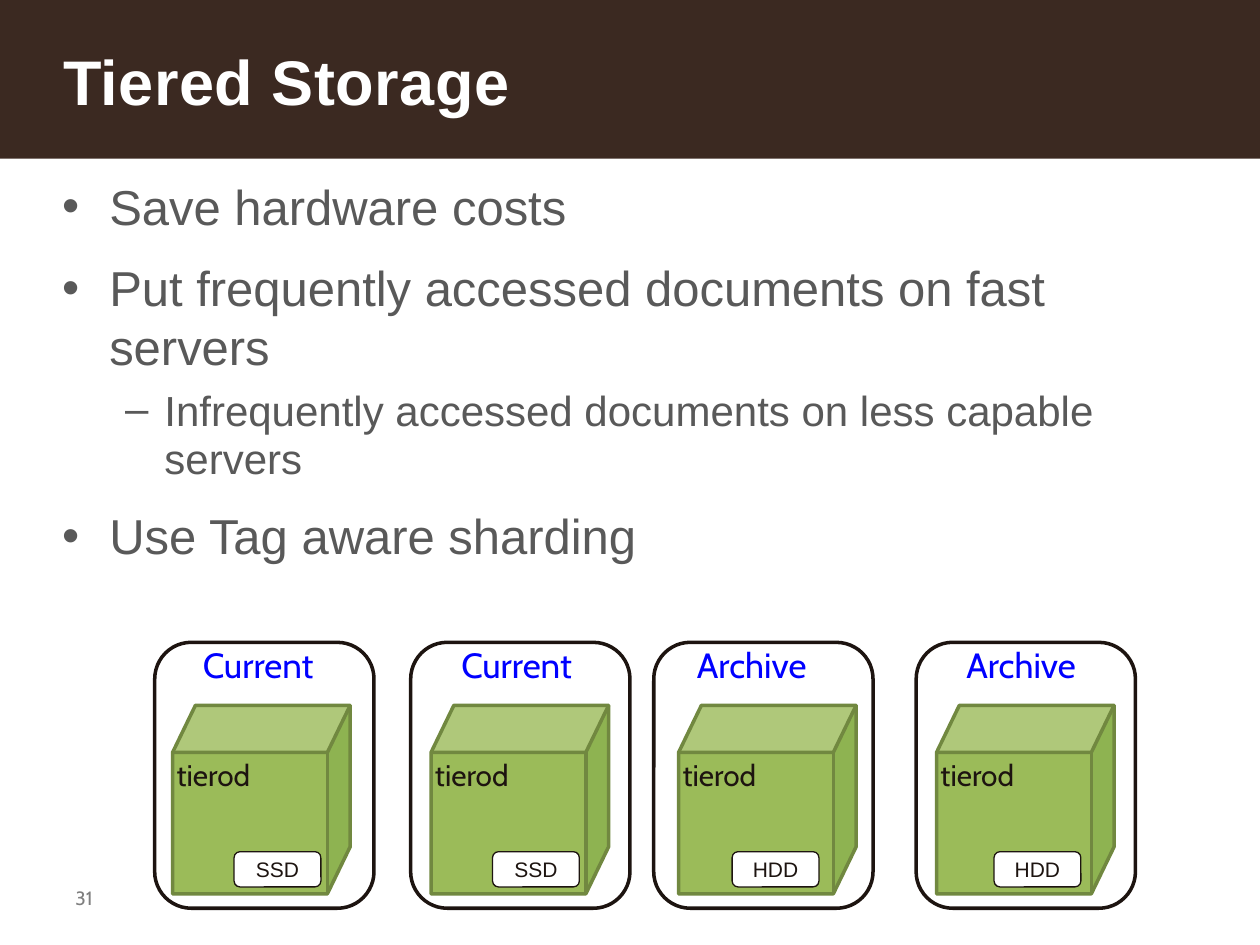
"""Builds the Tiered Storage slide with its four storage servers."""
from lxml import etree
from pptx import Presentation
from pptx.dml.color import RGBColor
from pptx.enum.shapes import MSO_SHAPE
from pptx.enum.text import MSO_ANCHOR, MSO_AUTO_SIZE, PP_ALIGN
from pptx.oxml.ns import qn
from pptx.util import Cm, Pt

RECTANGLE, ROUNDED = MSO_SHAPE.RECTANGLE, MSO_SHAPE.ROUNDED_RECTANGLE
TOP, MIDDLE = MSO_ANCHOR.TOP, MSO_ANCHOR.MIDDLE
LEFT, CENTER = PP_ALIGN.LEFT, PP_ALIGN.CENTER
NO_FIT = MSO_AUTO_SIZE.NONE

COLORS = {
    "header": "3B2921", "white": "FFFFFF", "body": "595959", "number": "7F7F7F",
    "ink": "1D1410", "tag": "0000FF", "cube": "9BBB59", "shade": "5A9633",
    "edge": "718840",
}
BULLETS = [
    (0, "Save hardware costs"),
    (0, "Put frequently accessed documents on fast servers"),
    (1, "Infrequently accessed documents on less capable servers"),
    (0, "Use Tag aware sharding"),
]
LEVELS = [(28, 12.8, 1.0), (24, 6, Pt(27.8))]
SERVERS = [
    ("Current", "SSD", 3.12, 3.48, 4.09, 4.72),
    ("Current", "SSD", 8.28, 8.69, 9.3, 9.93),
    ("Archive", "HDD", 13.18, 13.68, 14.05, 14.76),
    ("Archive", "HDD", 18.47, 18.88, 19.48, 20.04),
]


class SlideBuilder:
    def __init__(self, page):
        self.page = page
        self.shapes = page.shapes

    def color(self, name):
        return RGBColor.from_string(COLORS[name])

    def place(self, box, left, top, width, height):
        box.left, box.top, box.width, box.height = map(Cm, (left, top, width, height))

    def inset(self, frame, side, end):
        frame.margin_left = frame.margin_right = Cm(side)
        frame.margin_top = frame.margin_bottom = Cm(end)

    def style(self, para, size, color, font="Arial", bold=False):
        for span in para.runs:
            span.font.size, span.font.name, span.font.bold = Pt(size), font, bold
            span.font.color.rgb = self.color(color)

    def paint(self, shape, fill=None, line=None, weight=2, alpha=None):
        shape.shadow.inherit = False
        if fill:
            shape.fill.solid()
            shape.fill.fore_color.rgb = self.color(fill)
        else:
            shape.fill.background()
        if alpha:
            tone = next(shape.element.spPr.iter(qn("a:srgbClr")))
            etree.SubElement(tone, qn("a:alpha")).set("val", str(alpha * 1000))
        if line:
            shape.line.color.rgb = self.color(line)
            shape.line.width = Pt(weight)
        else:
            shape.line.fill.background()

    def title(self, text):
        box = self.shapes.title
        self.place(box, 1.27, 0.03, 22.86, 3.18)
        frame = box.text_frame
        frame.text, frame.vertical_anchor, frame.auto_size = text, MIDDLE, NO_FIT
        self.inset(frame, 0, 0)
        para = frame.paragraphs[0]
        para.alignment = LEFT
        self.style(para, 36, "white", bold=True)
        next(box.element.iter(qn("a:rPr"))).set("spc", "30")

    def bullets(self, items):
        box = self.page.placeholders[1]
        self.place(box, 1.25, 3.56, 22.86, 12.85)
        frame = box.text_frame
        frame.text = "\n".join(text for _, text in items)
        frame.vertical_anchor, frame.auto_size = TOP, NO_FIT
        self.inset(frame, 0, 0)
        for para, (level, _) in zip(frame.paragraphs, items):
            size, before, spacing = LEVELS[level]
            para.level, para.space_before, para.line_spacing = level, Pt(before), spacing
            self.style(para, size, "body")

    def header(self, height):
        band = self.shapes.add_shape(RECTANGLE, 0, 0, Cm(25.4), Cm(height))
        self.paint(band, "header")
        self.shapes.element.insert(2, band.element)

    def text(self, text, area, size, color, margins=(0, 0), wrap=True, shapes=None):
        box = (shapes or self.shapes).add_textbox(*map(Cm, area))
        frame = box.text_frame
        frame.text, frame.word_wrap = text, wrap
        self.inset(frame, *margins)
        self.style(frame.paragraphs[0], size, color, "Cabin")

    def rounded(self, area, fill=None, weight=2, text=None):
        box = self.shapes.add_shape(ROUNDED, *map(Cm, area))
        self.paint(box, fill, "ink", weight)
        if text:
            frame = box.text_frame
            frame.text, frame.vertical_anchor = text, MIDDLE
            frame.paragraphs[0].alignment = CENTER
            self.style(frame.paragraphs[0], 12, "ink")

    def outline(self, shapes, points, strokes=(), **look):
        points = [(Cm(x), Cm(y)) for x, y in points]
        builder = shapes.build_freeform(*points[0])
        builder.add_line_segments(points[1:], close=True)
        for stroke in strokes:
            start, *rest = [(Cm(x), Cm(y)) for x, y in stroke]
            builder.move_to(*start)
            builder.add_line_segments(rest, close=False)
        self.paint(builder.convert_to_shape(), **look)

    def cube(self, text, left, top, width, height, shift, depth):
        shapes = self.shapes.add_group_shape().shapes
        right, bottom = left + width, top + height
        edge, front = right - shift, top + depth
        front_left, front_right = (left, front), (edge, front)
        back_left, back_right = (left + shift, top), (right, top)
        side_low, front_low = (right, bottom - depth), (edge, bottom)
        hull = [front_left, back_left, back_right, side_low, front_low, (left, bottom)]
        side = [front_right, back_right, side_low, front_low]
        lid = [front_left, back_left, back_right, front_right]
        inner = [(front_left, front_right, back_right), (front_right, front_low)]
        self.outline(shapes, hull, fill="cube")
        self.outline(shapes, side, fill="shade", alpha=20)
        self.outline(shapes, lid, fill="white", alpha=20)
        self.outline(shapes, hull, inner, line="edge")
        area = (left, front, width - shift, 1.75)
        self.text(text, area, 17, "ink", (0.08, 0.08), shapes=shapes)

    def server(self, tag, disk, frame_left, cube_left, tag_left, disk_left):
        self.cube("tierod", cube_left, 14.22, 3.58, 3.8, 0.46, 0.95)
        self.rounded((frame_left, 12.95, 4.42, 5.36))
        self.text(tag, (tag_left, 12.98, 2.4, 0.86), 20, "tag", wrap=False)
        self.rounded((disk_left, 17.17, 1.75, 0.71), "white", 0.75, disk)


def main():
    deck = Presentation()
    deck.slide_width, deck.slide_height = Cm(25.4), Cm(19.05)
    slide = SlideBuilder(deck.slides.add_slide(deck.slide_layouts[1]))
    slide.header(3.2)
    slide.title("Tiered Storage")
    slide.bullets(BULLETS)
    slide.text("31", (1.27, 17.73, 5.94, 0.71), 11, "number", (0.25, 0.13))
    for server in SERVERS:
        slide.server(*server)
    deck.save("out.pptx")


if __name__ == "__main__":
    main()
